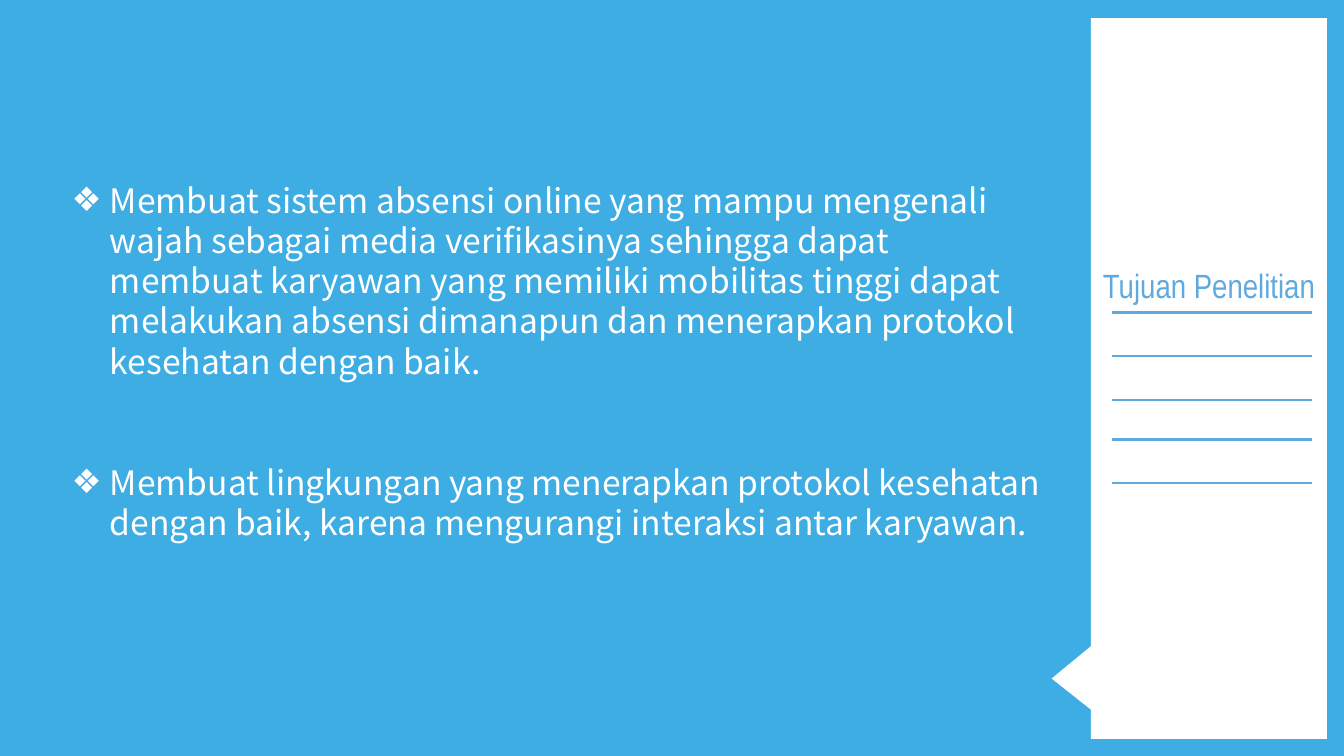
from lxml import etree
from pptx import Presentation
from pptx import util as u
from pptx.dml import color
from pptx.enum import shapes, text
from pptx.oxml import ns

COLORS = {"sky": "3DADE4", "accent": "60A9DE", "white": "FFFFFF"}
GOALS = [
    "Membuat sistem absensi online yang mampu mengenali wajah sebagai media "
    "verifikasinya sehingga dapat membuat karyawan yang memiliki mobilitas "
    "tinggi dapat melakukan absensi dimanapun dan menerapkan protokol "
    "kesehatan dengan baik.",
    "Membuat lingkungan yang menerapkan protokol kesehatan dengan baik, "
    "karena mengurangi interaksi antar karyawan.",
]
RULE_TOPS = [3.1, 3.53, 3.97, 4.36, 4.79]


class Deck:
    title_font = "Arial Narrow"
    body_font = "Noto Sans CJK KR"
    size = u.Pt(24)
    leading = u.Pt(28.8)

    def __init__(self, prs):
        self.s = prs.slides.add_slide(prs.slide_layouts[1])
        fill = self.s.background.fill
        fill.solid()
        fill.fore_color.rgb = self.rgb("sky")

    def rgb(self, name):
        return color.RGBColor.from_string(COLORS[name])

    def shape(self, kind, box, fill):
        sp = self.s.shapes.add_shape(kind, *map(u.Inches, box))
        sp.shadow.inherit = False
        sp.fill.solid()
        sp.fill.fore_color.rgb = self.rgb(fill)
        sp.line.fill.background()
        return sp

    def rule(self, x1, x2, y):
        ends = map(u.Inches, (x1, y, x2, y))
        sp = self.s.shapes.add_connector(shapes.MSO_CONNECTOR.STRAIGHT, *ends)
        sp.line.color.rgb = self.rgb("accent")
        sp.line.width = u.Pt(1.5)
        etree.SubElement(sp.element.spPr, ns.qn("a:effectLst"))

    def place(self, sp, box, content):
        sp.left, sp.top, sp.width, sp.height = map(u.Inches, box)
        sp.element.getparent().append(sp.element)
        tf = sp.text_frame
        tf.text = content
        tf.word_wrap = True
        tf.auto_size = text.MSO_AUTO_SIZE.NONE
        tf.vertical_anchor = text.MSO_ANCHOR.TOP
        return tf

    def style(self, p, font, fill):
        for r in p.runs:
            r.font.name = font
            r.font.size = self.size
            r.font.color.rgb = self.rgb(fill)

    def title(self, box, content):
        p = self.place(self.s.shapes.title, box, content).paragraphs[0]
        p.alignment = text.PP_ALIGN.CENTER
        self.style(p, self.title_font, "accent")

    def bullets(self, box, items):
        tf = self.place(self.s.placeholders[1], box, "\n".join(items))
        for i, p in enumerate(tf.paragraphs):
            p.alignment = text.PP_ALIGN.LEFT
            p.line_spacing = self.leading
            p.space_before = 2 * self.leading if i else u.Pt(0)
            pPr = p._p.get_or_add_pPr()
            pPr.set("marL", str(u.Inches(0.38)))
            pPr.set("indent", str(u.Inches(-0.38)))
            etree.SubElement(pPr, ns.qn("a:buChar"), char="❖")
            self.style(p, self.body_font, "white")


prs = Presentation()
prs.slide_width, prs.slide_height = u.Inches(13.33), u.Inches(7.5)
deck = Deck(prs)
deck.shape(shapes.MSO_SHAPE.RECTANGLE, (10.82, 0.18, 2.34, 7.15), "white")
pointer = deck.shape(shapes.MSO_SHAPE.ISOSCELES_TRIANGLE, (10.31, 6.53, 0.63, 0.39), "white")
pointer.rotation = 270
pointer.adjustments[0] = 0.49
deck.title((10.82, 2.58, 2.34, 0.5), "Tujuan Penelitian")
for top in RULE_TOPS:
    deck.rule(11.03, 13.01, top)
deck.bullets((0.61, 1.73, 9.82, 4.04), GOALS)
prs.save("out.pptx")
